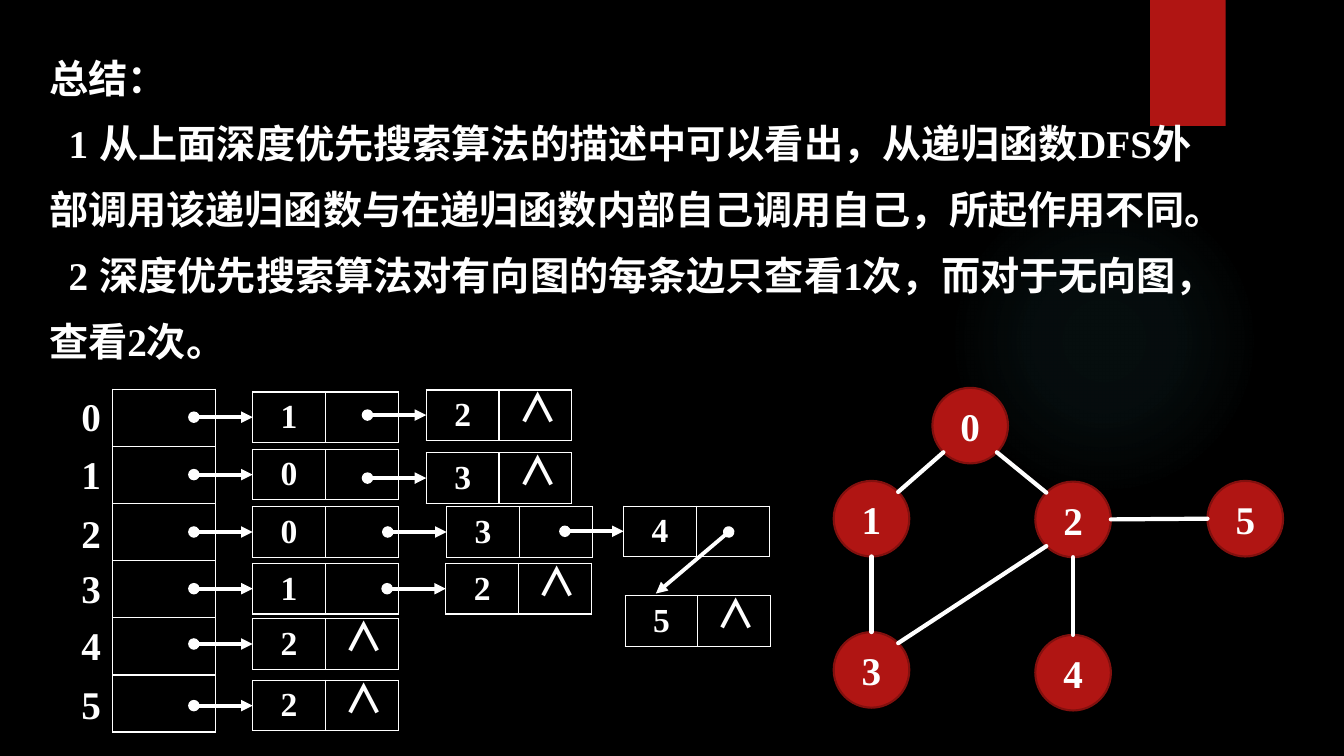
from dataclasses import dataclass
from math import cos, radians, sin

from lxml.etree import SubElement
from pptx import Presentation
from pptx.dml.color import RGBColor
from pptx.enum.shapes import MSO_CONNECTOR, MSO_SHAPE
from pptx.enum.text import MSO_ANCHOR, PP_ALIGN
from pptx.oxml import parse_xml
from pptx.oxml.ns import nsdecls, qn
from pptx.util import Pt


@dataclass(frozen=True)
class Theme:
    back: str = "000000"
    ink: str = "FFFFFF"
    red: str = "B01513"
    rim: str = "82100E"
    glow: str = "50B9C1"
    latin: str = "Times New Roman"
    asian: str = "Noto Sans CJK SC"
    large: float = 28
    small: float = 24


class Board:
    """Draws on one slide; every length is in points."""

    def __init__(self, slide, theme):
        self.slide, self.theme = slide, theme
        self.shapes = slide.shapes
        fill = slide.background.fill
        fill.solid()
        fill.fore_color.rgb = RGBColor.from_string(theme.back)

    def style(self, para, size=None, face=None):
        font = para.font
        font.size = Pt(size or self.theme.large)
        font.bold = True
        font.color.rgb = RGBColor.from_string(self.theme.ink)
        font.name = face or self.theme.latin
        SubElement(para._p.pPr.find(qn("a:defRPr")), qn("a:ea"), typeface=self.theme.asian)

    def text(self, x, y, wide, high, lines, face=None):
        frame = self.shapes.add_textbox(Pt(x), Pt(y), Pt(wide), Pt(high)).text_frame
        frame.word_wrap = True
        for i, line in enumerate(lines):
            para = frame.add_paragraph() if i else frame.paragraphs[0]
            para.text = line
            self.style(para, face=face)
        return frame.paragraphs

    def shape(self, kind, x, y, wide, high, color=None):
        item = self.shapes.add_shape(kind, Pt(x), Pt(y), Pt(wide), Pt(high))
        item.shadow.inherit = False
        if color:
            item.fill.solid()
            item.fill.fore_color.rgb = RGBColor.from_string(color)
        item.line.fill.background()
        return item

    def halo(self, x, y, size, stops):
        """Ellipse with a radial gradient of (position %, opacity %) stops."""
        item = self.shape(MSO_SHAPE.OVAL, x, y, size, size)
        marks = "".join(
            f'<a:gs pos="{pos * 1000}"><a:srgbClr val="{self.theme.glow}">'
            f'<a:alpha val="{alpha * 1000}"/></a:srgbClr></a:gs>'
            for pos, alpha in stops)
        item.element.spPr.insert(2, parse_xml(
            f'<a:gradFill {nsdecls("a")}><a:gsLst>{marks}</a:gsLst><a:path path="circle">'
            '<a:fillToRect l="50000" t="50000" r="50000" b="50000"/></a:path></a:gradFill>'))

    def disc(self, x, y, size, label):
        item = self.shape(MSO_SHAPE.OVAL, x, y, size, size, self.theme.red)
        item.line.color.rgb = RGBColor.from_string(self.theme.rim)
        item.line.width = Pt(1.5)
        frame = item.text_frame
        frame.vertical_anchor = MSO_ANCHOR.MIDDLE
        para = frame.paragraphs[0]
        para.text = label
        para.alignment = PP_ALIGN.CENTER
        self.style(para)

    def line(self, start, end, width):
        item = self.shapes.add_connector(
            MSO_CONNECTOR.STRAIGHT, *(Pt(v) for v in (*start, *end)))
        item.line.color.rgb = RGBColor.from_string(self.theme.ink)
        item.line.width = Pt(width)
        SubElement(item.element.spPr, qn("a:effectLst"))
        return item.element.spPr.find(qn("a:ln"))

    def edge(self, start, end):
        self.line(start, end, 3).set("cap", "rnd")

    def arrow(self, start, end):
        stroke = self.line(start, end, 2.75)
        SubElement(stroke, qn("a:headEnd"), type="oval")
        SubElement(stroke, qn("a:tailEnd"), type="triangle")

    def grid(self, x, y, wide, high, rows):
        table = self.shapes.add_table(
            len(rows), len(rows[0]), Pt(x), Pt(y), Pt(wide), Pt(high)).table
        table.first_row = table.horz_banding = False
        for r, row in enumerate(rows):
            for c, value in enumerate(row):
                cell = table.cell(r, c)
                cell.fill.background()
                cell.vertical_anchor = MSO_ANCHOR.MIDDLE
                para = cell.text_frame.paragraphs[0]
                para.text = value
                para.alignment = PP_ALIGN.CENTER
                self.style(para, self.theme.small)
                self.border(cell)

    def border(self, cell):
        props = cell._tc.get_or_add_tcPr()
        for i, side in enumerate("LRTB"):
            props.insert(i, parse_xml(
                f'<a:ln{side} {nsdecls("a")} w="12700"><a:solidFill>'
                f'<a:srgbClr val="{self.theme.ink}"/></a:solidFill></a:ln{side}>'))

    def node(self, x, y, label, last, linked=True):
        """List node: value cell and link cell, with the arrow that leads to it."""
        self.grid(x, y, 104, 36, [[label, ""]])
        if last:
            self.text(x + 58.5, y - 8, 32, 41, ["∧"], self.theme.asian)
        if linked:
            self.arrow((x - 42, y + 18), (x, y + 18))


NOTES = [
    "总结：",
    "1\t从上面深度优先搜索算法的描述中可以看出，从递归函数DFS外部调用该递归函数与在递归函数内部自己调用自己，所起作用不同。",
    "2\t深度优先搜索算法对有向图的每条边只查看1次，而对于无向图，查看2次。",
]
LABELS = [277, 318, 360, 399.5, 440, 482.5]
# x, y, value, last of its list, arrow from the left
NODES = [
    (180.5, 280, "1", False), (304.5, 278.5, "2", True),
    (180.5, 321, "0", False), (304.5, 323.5, "3", True),
    (180.5, 362, "0", False), (319, 362, "3", False),
    (445.5, 361.5, "4", False), (446.5, 425.5, "5", True, False),
    (180.5, 402.5, "1", False), (318.5, 402.5, "2", True),
    (180.5, 442, "2", True), (180.5, 486, "2", True),
]
DISC = 54
DISCS = [(666, 277), (595.5, 343.5), (739.5, 344), (595.5, 451.5), (739.5, 453.5), (862.5, 343.5)]
# vertex, angle, vertex, angle; degrees anticlockwise from the right
EDGES = [(0, 225, 1, 45), (2, 135, 0, 315), (1, 270, 3, 90),
         (3, 45, 2, 225), (2, 0, 5, 180), (2, 270, 4, 90)]


def rim(vertex, angle):
    """Point on the outline of a vertex."""
    x, y = DISCS[vertex]
    half = DISC / 2
    turn = radians(angle)
    return x + half + half * cos(turn), y + half - half * sin(turn)


def main():
    deck = Presentation()
    deck.slide_width, deck.slide_height = Pt(960), Pt(540)
    theme = Theme()
    board = Board(deck.slides.add_slide(deck.slide_layouts[6]), theme)

    board.halo(677.5, 132, 222, [(0, 7), (36, 6), (69, 0)])
    board.shape(MSO_SHAPE.RECTANGLE, 821.5, 0, 54, 90, theme.red)
    for i, para in enumerate(board.text(28, 21.5, 857.5, 292, NOTES)):
        para.line_spacing = 1.4
        if i:
            props = para._p.pPr
            props.set("indent", str(Pt(14)))
            tabs = parse_xml(f'<a:tabLst {nsdecls("a")}><a:tab pos="{Pt(48)}" algn="l"/></a:tabLst>')
            props.find(qn("a:defRPr")).addprevious(tabs)

    board.grid(80.5, 278, 73.5, 245, [[""]] * 6)
    for i, y in enumerate(LABELS):
        board.text(51, y, 71, 41, [str(i)])
    for node in NODES:
        board.node(*node)
    board.arrow((520.5, 380), (468.5, 424))

    for i, (x, y) in enumerate(DISCS):
        board.disc(x, y, DISC, str(i))
    for a, out, b, into in EDGES:
        board.edge(rim(a, out), rim(b, into))
    deck.save("out.pptx")


if __name__ == "__main__":
    main()
